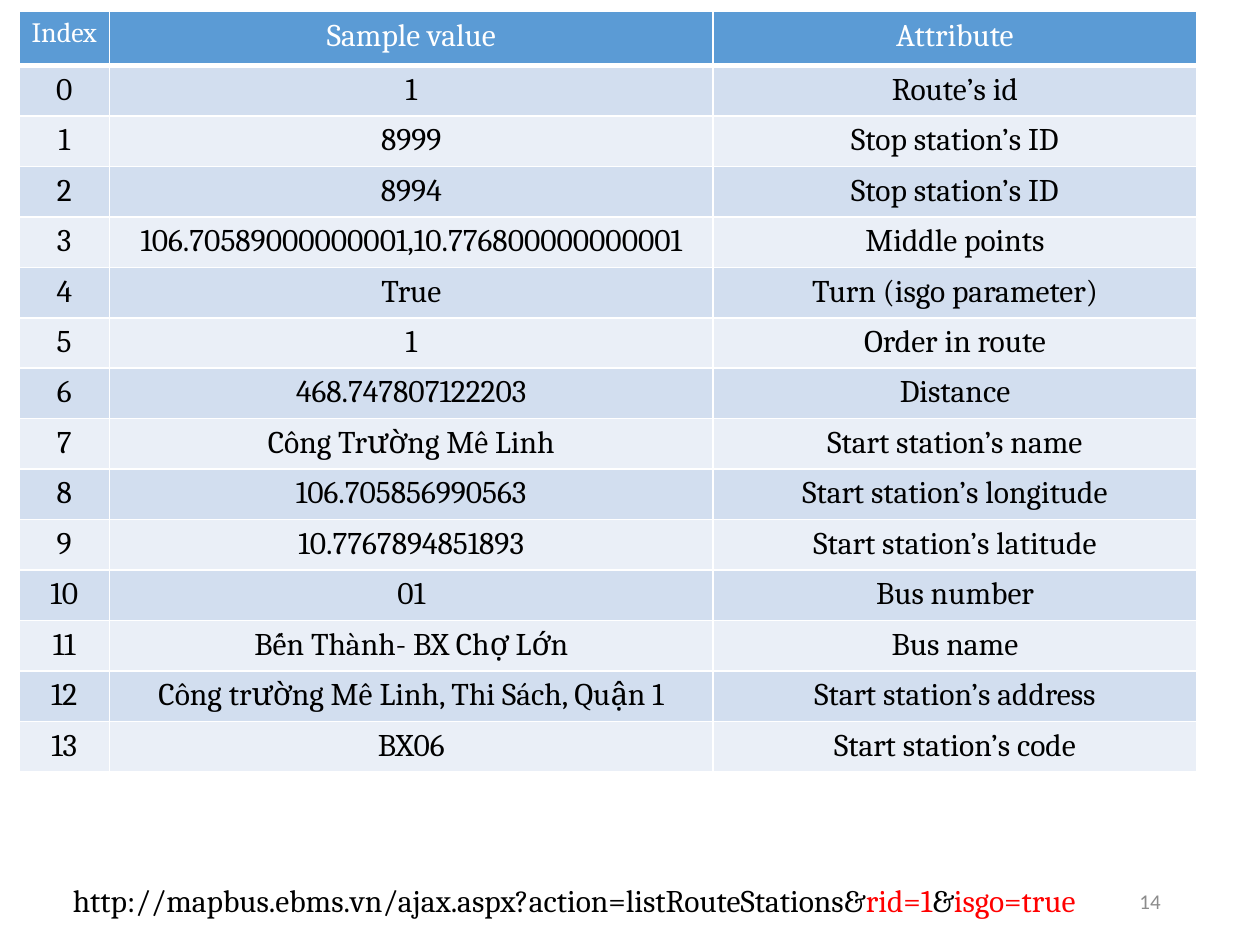
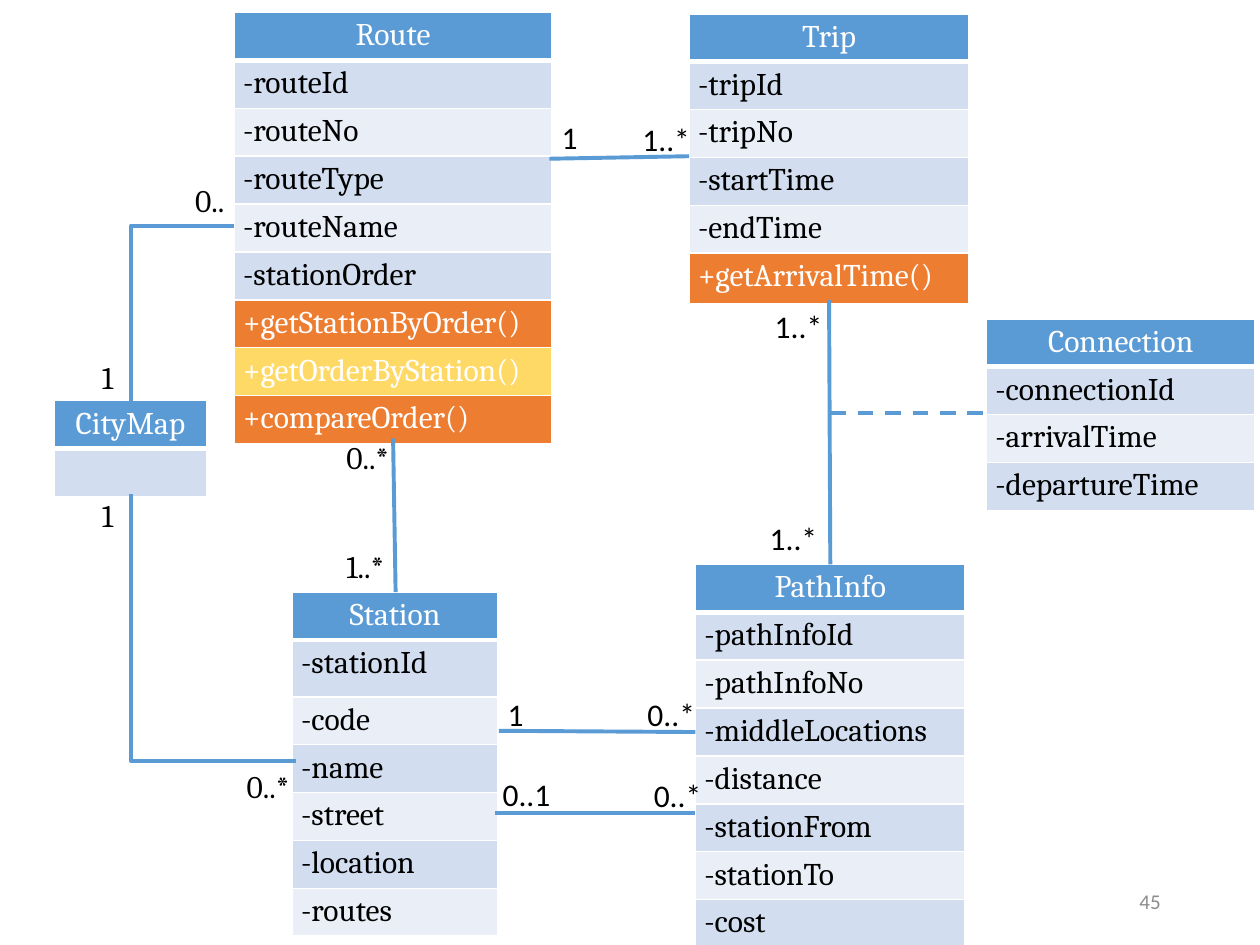
from pptx import Presentation
from pptx.dml.color import RGBColor as RGB
from pptx.enum.dml import MSO_LINE as Dash
from pptx.enum.shapes import MSO_CONNECTOR as Conn
from pptx.enum.text import MSO_ANCHOR as Anchor, MSO_AUTO_SIZE as Auto, PP_ALIGN as Align
from pptx.oxml import parse_xml
from pptx.oxml.ns import nsdecls
from pptx.util import Inches, Pt

HUE = {
    "head": "5B9BD5", "odd": "D2DEEF", "even": "EAEFF7",
    "orange": "ED7D31", "gold": "FFD966", "white": "FFFFFF",
    "black": "000000", "red": "FF0000", "gray": "8C8C8C",
}


def write(frame, runs, size=18, font="Cambria", align=Align.LEFT):
    para = frame.paragraphs[0]
    para.alignment = align
    for text, hue in runs:
        run = para.add_run()
        run.text = text
        run.font.size = Pt(size)
        run.font.name = font
        run.font.bold = False
        run.font.color.rgb = RGB.from_string(HUE[hue])


def grid(slide, left, top, cols, rows, high, inset=None, center=False, fills={}):
    """Banded table with a blue header; fills recolours single rows."""
    frame = slide.shapes.add_table(len(rows), len(cols), Inches(left), Inches(top),
                                   Inches(sum(cols)), Inches(sum(high)))
    table = frame.table
    for col, wide in zip(table.columns, cols):
        col.width = Inches(wide)
    for r, texts in enumerate(rows):
        table.rows[r].height = Inches(high[r])
        hue = fills.get(r) or ("head" if r == 0 else "odd" if r % 2 else "even")
        ink = "black" if hue in ("odd", "even") else "white"
        for c, text in enumerate(texts):
            cell = table.cell(r, c)
            if inset:
                cell.margin_left = cell.margin_right = Inches(inset[0])
                cell.margin_top = cell.margin_bottom = Inches(inset[1])
            # Cell borders come before the fill
            props = cell._tc.get_or_add_tcPr()
            for side in ("L", "R", "T", "B"):
                wide = Pt(3 if r == 0 and side == "B" else 1)
                props.append(parse_xml(
                    f'<a:ln{side} {nsdecls("a")} w="{wide}"><a:solidFill>'
                    f'<a:srgbClr val="{HUE["white"]}"/></a:solidFill></a:ln{side}>'))
            cell.fill.solid()
            cell.fill.fore_color.rgb = RGB.from_string(HUE[hue])
            if text:
                write(cell.text_frame, [(text, ink)], 16 if text == "Index" else 18,
                      align=Align.CENTER if center or r == 0 else Align.LEFT)
            else:
                cell.text_frame.paragraphs[0].font.size = Pt(18)


deck = Presentation()
deck.slide_width, deck.slide_height = Inches(10), Inches(7.5)
data, model = [deck.slides.add_slide(deck.slide_layouts[6]) for _ in range(2)]

# Slide numbers
for slide, num in ((data, "14"), (model, "45")):
    box = slide.shapes.add_textbox(Inches(7.06), Inches(6.95), Inches(2.25), Inches(0.4))
    box.text_frame.word_wrap = True
    box.text_frame.vertical_anchor = Anchor.MIDDLE
    write(box.text_frame, [(num, "gray")], 12, "Calibri", Align.RIGHT)

# Slide 1: fields of the station list
fields = [
    ("1", "Route’s id"),
    ("8999", "Stop station’s ID"),
    ("8994", "Stop station’s ID"),
    ("106.70589000000001,10.776800000000001", "Middle points"),
    ("True", "Turn (isgo parameter)"),
    ("1", "Order in route"),
    ("468.747807122203", "Distance"),
    ("Công Trường Mê Linh", "Start station’s name"),
    ("106.705856990563", "Start station’s longitude"),
    ("10.7767894851893", "Start station’s latitude"),
    ("01", "Bus number"),
    ("Bến Thành- BX Chợ Lớn", "Bus name"),
    ("Công trường Mê Linh, Thi Sách, Quận 1", "Start station’s address"),
    ("BX06", "Start station’s code"),
]
rows = [("Index", "Sample value", "Attribute")]
rows += [(str(i), *field) for i, field in enumerate(fields)]
grid(data, 0.15, 0.09, [0.72, 4.79, 3.84], rows, [0.43] + [0.39] * len(fields), center=True)

# Slide 1: request address
box = data.shapes.add_textbox(Inches(0.48), Inches(6.94), Inches(8.63), Inches(0.4))
box.text_frame.word_wrap = True
box.text_frame.auto_size = Auto.SHAPE_TO_FIT_TEXT
write(box.text_frame, [
    ("http://mapbus.ebms.vn/ajax.aspx?action=listRouteStations&", "black"),
    ("rid=1", "red"), ("&", "black"), ("isgo=true", "red")])

# Slide 2: classes as left, top, width, row height, rows, odd heights, odd fills
classes = [
    (1.86, 0.1, 2.52, 0.36,
     ["Route", "-routeId", "-routeNo", "-routeType", "-routeName", "-stationOrder",
      "+getStationByOrder()", "+getOrderByStation()", "+compareOrder()"],
     {}, {6: "orange", 7: "gold", 8: "orange"}),
    (5.47, 0.11, 2.22, 0.36,
     ["Trip", "-tripId", "-tripNo", "-startTime", "-endTime", "+getArrivalTime()"],
     {5: 0.4}, {5: "orange"}),
    (7.83, 2.53, 2.13, 0.36,
     ["Connection", "-connectionId", "-arrivalTime", "-departureTime"], {}, {}),
    (2.32, 4.7, 1.63, 0.36,
     ["Station", "-stationId", "-code", "-name", "-street", "-location", "-routes"],
     {1: 0.45}, {}),
    (0.43, 3.18, 1.21, 0.37, ["CityMap", ""], {}, {}),
    (5.52, 4.48, 2.14, 0.375,
     ["PathInfo", "-pathInfoId", "-pathInfoNo", "-middleLocations", "-distance",
      "-stationFrom", "-stationTo", "-cost"], {}, {}),
]
for left, top, wide, step, names, odd, fills in classes:
    high = [odd.get(r, step) for r in range(len(names))]
    grid(model, left, top, [wide], [[name] for name in names], high, (0.07, 0.04), fills=fills)

# Slide 2: links between classes
links = [
    ("line", 3.96, 5.8, 5.52, 5.81),
    ("dash", 6.59, 3.28, 7.83, 3.28),
    ("line", 3.93, 6.45, 5.52, 6.45),
    ("line", 6.58, 2.38, 6.59, 4.48),
    ("line", 4.36, 1.26, 5.47, 1.24),
    ("line", 3.12, 3.48, 3.14, 4.7),
    ("bent", 1.86, 1.79, 1.04, 3.18),
    ("bent", 2.35, 6.04, 1.04, 3.92),
]
for kind, *ends in links:
    form = Conn.ELBOW if kind == "bent" else Conn.STRAIGHT
    link = model.shapes.add_connector(form, *map(Inches, ends))
    link.line.color.rgb = RGB.from_string(HUE["head"])
    link.line.width = Pt(2.25)
    if kind == "dash":
        link.line.dash_style = Dash.DASH
    props = link._element.spPr
    if kind == "bent":  # a single corner
        props.prstGeom.set("prst", "bentConnector2")
    props.append(parse_xml(f'<a:effectLst {nsdecls("a")}/>'))

# Slide 2: multiplicities
marks = {
    "Calibri": [
        ("1", 3.93, 5.47, 0.33), ("0..1", 3.89, 6.1, 0.58), ("1..*", 6.05, 2.39, 0.58),
        ("1", 4.36, 0.89, 0.33), ("1..*", 5, 0.9, 0.58), ("0..*", 5.04, 5.47, 0.58),
        ("0..*", 5.09, 6.11, 0.58), ("1..*", 6.01, 4.07, 0.58),
    ],
    "Cambria": [
        ("0..*", 2.65, 3.43, 0.56), ("1..*", 2.65, 4.29, 0.56), ("0..", 1.45, 1.39, 0.46),
        ("1", 0.71, 2.79, 0.34), ("0..*", 1.86, 6.04, 0.56), ("1", 0.71, 3.89, 0.34),
    ],
}
for font, group in marks.items():
    for text, left, top, wide in group:
        box = model.shapes.add_textbox(Inches(left), Inches(top), Inches(wide), Inches(0.4))
        box.text_frame.word_wrap = False
        box.text_frame.auto_size = Auto.SHAPE_TO_FIT_TEXT
        write(box.text_frame, [(text, "black")], font=font)

deck.save("out.pptx")
